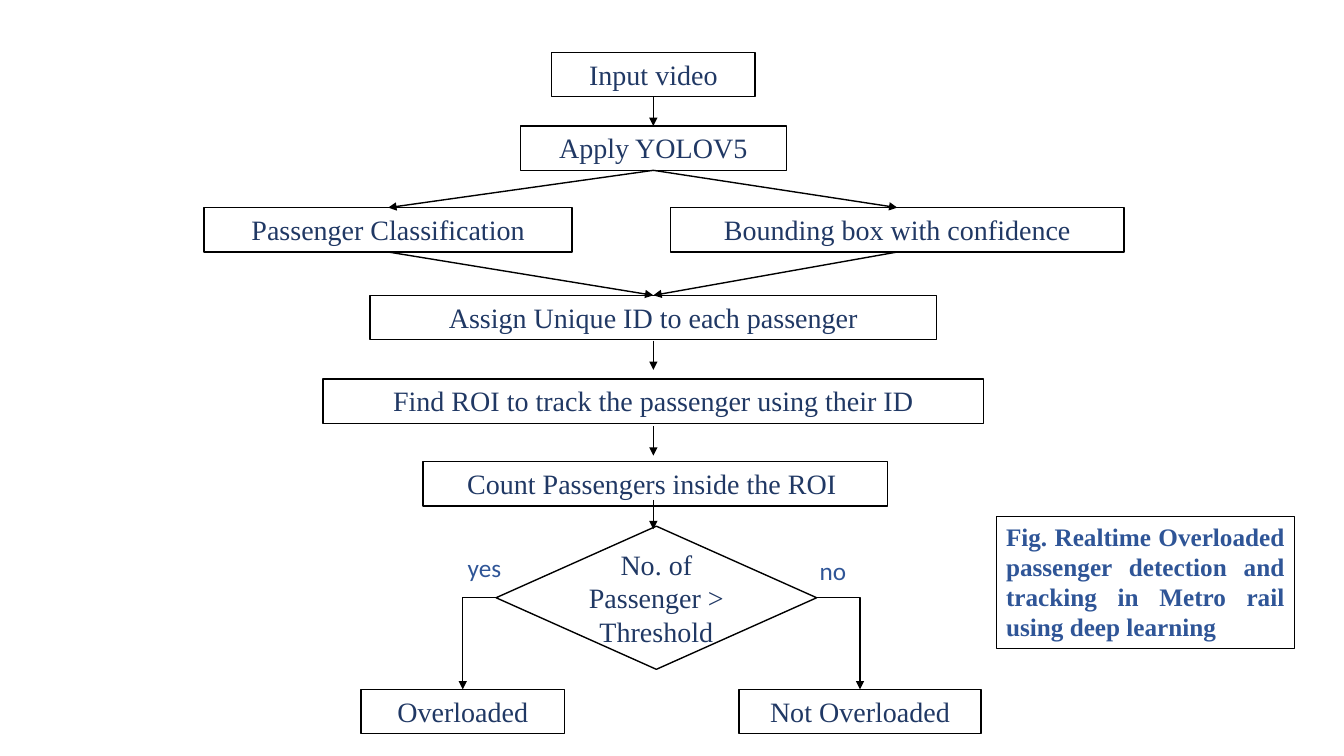
from lxml import etree
from pptx import Presentation
from pptx.dml.color import RGBColor
from pptx.enum import shapes, text
from pptx.oxml import ns
from pptx.util import Inches, Pt

HUES = {"ink": "000000", "paper": "FFFFFF", "navy": "203864", "blue": "2F5597"}
STEP = {"name": "Times New Roman", "size": Pt(20), "bold": False}
NOTE = {"name": "Times New Roman", "size": Pt(18), "bold": True}
TAG = {"name": "Calibri", "size": Pt(18), "bold": False}
GROW = text.MSO_AUTO_SIZE.SHAPE_TO_FIT_TEXT
TOP, MID = text.MSO_ANCHOR.TOP, text.MSO_ANCHOR.MIDDLE
CENTER, LEFT, FULL = (text.PP_ALIGN.CENTER, text.PP_ALIGN.LEFT,
                      text.PP_ALIGN.JUSTIFY)

prs = Presentation()
prs.slide_width, prs.slide_height = Inches(13.33), Inches(7.5)
slide = prs.slides.add_slide(prs.slide_layouts[6])


def write(box, words, form, hue, align, anchor=TOP, fit=GROW):
    frame = box.text_frame
    frame.word_wrap = True
    frame.auto_size = fit
    frame.vertical_anchor = anchor
    para = frame.paragraphs[0]
    para.text = words
    para.alignment = align
    font = para.runs[0].font
    for key, value in form.items():
        setattr(font, key, value)
    font.color.rgb = RGBColor.from_string(HUES[hue])


def frame_box(kind, x, y, w, h, width=1):
    box = slide.shapes.add_shape(kind, Inches(x), Inches(y), Inches(w), Inches(h))
    box.shadow.inherit = False
    box.fill.background()
    box.line.color.rgb = RGBColor.from_string(HUES["ink"])
    box.line.width = Pt(width)
    return box


# Process steps: name, centre, top, width, words
AXIS, HIGH = 6.48, 0.44
steps = [
    ("input", AXIS, 0.52, 2.02, "Input video"),
    ("yolo", AXIS, 1.25, 2.64, "Apply YOLOV5"),
    ("class", 3.85, 2.06, 3.65, "Passenger Classification"),
    ("bound", 8.9, 2.06, 4.5, "Bounding box with confidence"),
    ("assign", AXIS, 2.93, 5.62, "Assign Unique ID to each passenger"),
    ("find", AXIS, 3.76, 6.55, "Find ROI to track the passenger using their ID"),
    ("count", 6.5, 4.58, 4.61, "Count Passengers inside the ROI "),
    ("over", 4.59, 6.84, 2.02, "Overloaded"),
    ("under", 8.53, 6.84, 2.4, "Not Overloaded"),
]
nodes = {}
for name, mid, y, w, words in steps:
    nodes[name] = frame_box(shapes.MSO_SHAPE.RECTANGLE, mid - w / 2, y, w, HIGH)
    write(nodes[name], words, STEP, "navy", CENTER)

# Decision
test = nodes["test"] = frame_box(shapes.MSO_SHAPE.DIAMOND, 4.92, 5.22, 3.18, 1.42)
test.fill.solid()
test.fill.fore_color.rgb = RGBColor.from_string(HUES["paper"])
write(test, "No. of Passenger > Threshold", STEP, "navy", CENTER, MID,
      text.MSO_AUTO_SIZE.NONE)

# Arrows joined to boxes: start, side, end
STRAIGHT, ELBOW = shapes.MSO_CONNECTOR.STRAIGHT, shapes.MSO_CONNECTOR.ELBOW
arrows = []
for start, side, end in [
    ("input", 2, "yolo"), ("yolo", 2, "class"), ("yolo", 2, "bound"),
    ("class", 2, "assign"), ("bound", 2, "assign"),
    ("test", 1, "over"), ("test", 3, "under"),
]:
    bent = start == "test"
    arrow = slide.shapes.add_connector(ELBOW if bent else STRAIGHT, 0, 0, 0, 0)
    arrow.begin_connect(nodes[start], side)
    arrow.end_connect(nodes[end], 0)
    if bent:
        arrow._element.spPr.find(ns.qn("a:prstGeom")).set("prst", "bentConnector2")
    arrows.append(arrow)

# Short free arrows on the axis
for y in (3.38, 4.23, 4.96):
    arrows.append(slide.shapes.add_connector(
        STRAIGHT, Inches(AXIS), Inches(y), Inches(AXIS), Inches(y + 0.29)))

for arrow in arrows:
    arrow.line.color.rgb = RGBColor.from_string(HUES["ink"])
    arrow.line.width = Pt(1)
    etree.SubElement(arrow.line._get_or_add_ln(), ns.qn("a:tailEnd"), type="triangle")
    etree.SubElement(arrow._element.spPr, ns.qn("a:effectLst"))

# Branch labels
for words, x, y in [("yes", 4.54, 5.43), ("no", 8.03, 5.46)]:
    label = slide.shapes.add_textbox(Inches(x), Inches(y), Inches(0.58), Inches(0.4))
    write(label, words, TAG, "blue", LEFT)

# Caption
note = frame_box(shapes.MSO_SHAPE.RECTANGLE, 9.88, 5.12, 2.96, 1.31, 0.75)
write(note, "Fig. Realtime Overloaded passenger detection and tracking in "
      "Metro rail using deep learning", NOTE, "blue", FULL)

prs.save("out.pptx")
